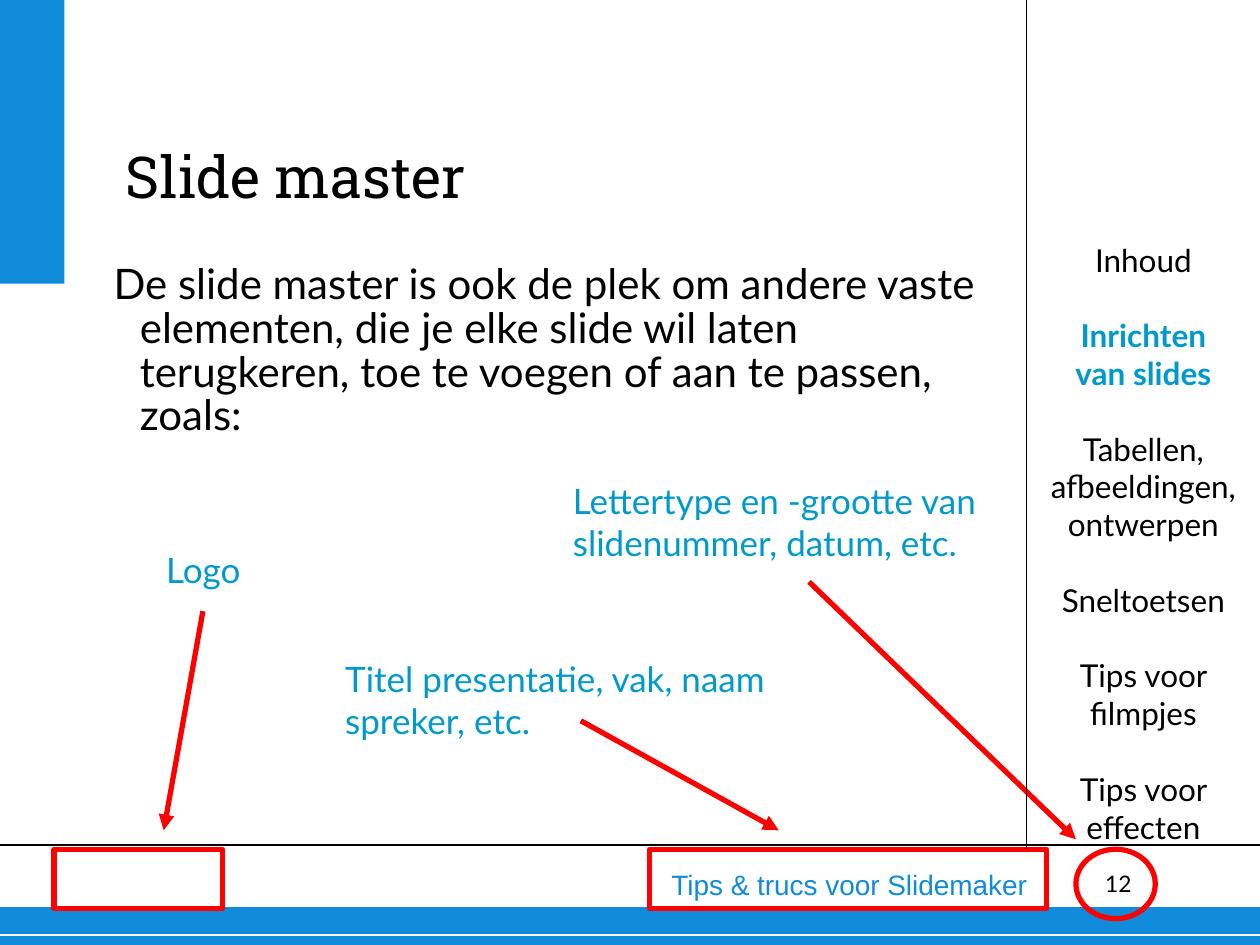
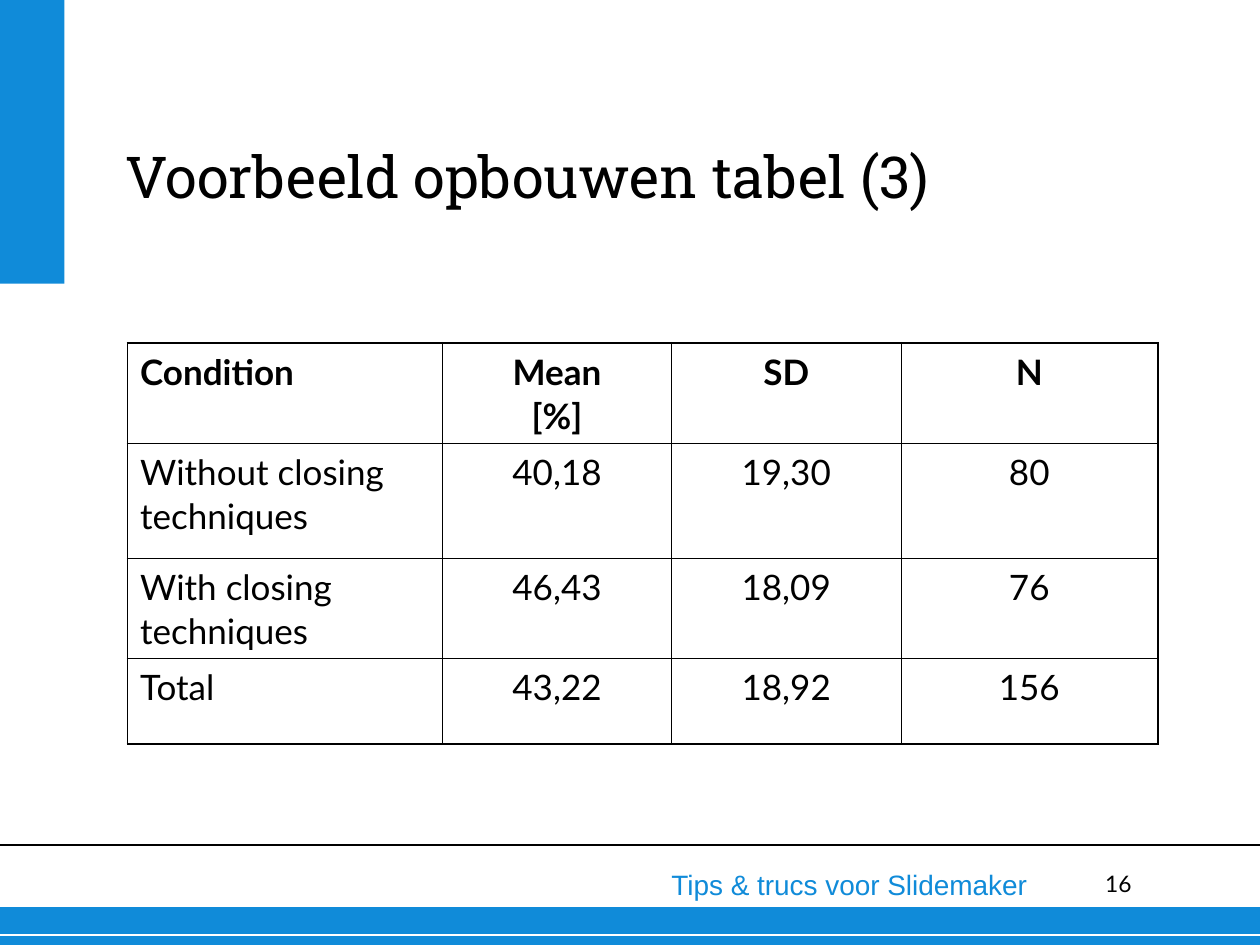
import pptx
import pptx.util
import pptx.dml.color
import pptx.enum.shapes
import pptx.enum.text
import pptx.oxml
import pptx.oxml.ns

Cm = pptx.util.Cm
Pt = pptx.util.Pt
Color = pptx.dml.color.RGBColor
Shape = pptx.enum.shapes.MSO_SHAPE
Align = pptx.enum.text.PP_ALIGN
Anchor = pptx.enum.text.MSO_ANCHOR

BLUE = Color(0x10, 0x8B, 0xD9)
CYAN = Color(0x00, 0x99, 0xCC)
RED = Color(0xFF, 0x00, 0x00)
BLACK = Color(0x00, 0x00, 0x00)
WHITE = Color(0xFF, 0xFF, 0xFF)

HEAD, BODY, SANS = "Roboto Slab", "Lato", "Arial"
WIDE, HIGH = 25.4, 19.05
PAD = (0.25, 0.13)
TOP = (0, 0, WIDE, 5.72)
FOOT = (0, 17.04, WIDE, 2.01)

TOPICS = [
    ["Inhoud"],
    ["Inrichten", "van slides"],
    ["Tabellen, afbeeldingen, ontwerpen"],
    ["Sneltoetsen"],
    ["Tips voor filmpjes"],
    ["Tips voor effecten"],
]
ACTIVE = 1

COLS = [6.35, 4.62, 4.62, 5.18]
ROWS = [2.03, 2.31, 2.01, 1.73]
DATA = [
    ["Condition", "Mean\n[%]", "SD", "N"],
    ["Without closing techniques", "40,18", "19,30", "80"],
    ["With closing\ntechniques", "46,43", "18,09", "76"],
    ["Total", "43,22", "18,92", "156"],
]


def style(para, size, color=BLACK, font=BODY, bold=False, align=Align.LEFT):
    para.alignment = align
    para.font.size = Pt(size)
    para.font.name = font
    para.font.bold = bold
    para.font.color.rgb = color


def write(slide, box, text, size, pad=(0, 0), anchor=Anchor.TOP, **look):
    """Add a wrapped text box and return its text frame."""
    frame = slide.shapes.add_textbox(*map(Cm, box)).text_frame
    frame.word_wrap = True
    frame.vertical_anchor = anchor
    frame.margin_left = frame.margin_right = Cm(pad[0])
    frame.margin_top = frame.margin_bottom = Cm(pad[1])
    frame.text = text
    for para in frame.paragraphs:
        style(para, size, **look)
    return frame


def band(slide, box):
    shape = slide.shapes.add_shape(Shape.RECTANGLE, *map(Cm, box))
    shape.shadow.inherit = False
    shape.fill.solid()
    shape.fill.fore_color.rgb = BLUE
    shape.line.fill.background()


def ring(slide, kind, box):
    """Mark a spot with a red outline."""
    shape = slide.shapes.add_shape(kind, *map(Cm, box))
    shape.shadow.inherit = False
    shape.fill.background()
    shape.line.color.rgb = RED
    shape.line.width = Pt(3)


def rule(slide, start, end, color, width):
    line = slide.shapes.add_connector(
        pptx.enum.shapes.MSO_CONNECTOR.STRAIGHT, *map(Cm, start + end))
    line.line.color.rgb = color
    line.line.width = Pt(width)
    props = line._element.spPr
    props.append(pptx.oxml.parse_xml(
        f'<a:effectLst {pptx.oxml.ns.nsdecls("a")}/>'))
    return line


def arrow(slide, start, end):
    line = rule(slide, start, end, RED, 3)
    line.line._get_or_add_ln().append(pptx.oxml.parse_xml(
        f'<a:tailEnd {pptx.oxml.ns.nsdecls("a")} type="triangle"/>'))


def top(slide, box, title):
    x, y, w, h = box
    band(slide, (x, y, 1.3, h))
    write(slide, (x + 2.54, y + 1.27, w - 4.11, 2.97), title, 33,
          font=HEAD, anchor=Anchor.BOTTOM)


def foot(slide, box, number):
    x, y, w, h = box
    write(slide, (x + 21.31, y + 0.49, 1.5, 0.71), number, 13,
          align=Align.RIGHT)
    band(slide, (x, y + h - 0.76, w, 0.76))
    for level, color, width in ((y + 1.81, WHITE, 0.75), (y, BLACK, 1)):
        rule(slide, (x, level), (x + w, level), color, width)
    write(slide, (x + 8.69, y + 0.31, 12.27, 0.94),
          "Tips & trucs voor Slidemaker", 16, pad=PAD, color=BLUE,
          font=SANS, align=Align.RIGHT)


def base(deck, title, number):
    """Start a slide with the parts that all slides share."""
    slide = deck.slides.add_slide(deck.slide_layouts[6])
    foot(slide, FOOT, number)
    top(slide, TOP, title)
    return slide


def menu(slide, box):
    x, y, w, h = box
    rule(slide, (x, 17.12), (x, 0), BLACK, 0.75)
    lines = [(line, place, row) for place, topic in enumerate(TOPICS)
             for row, line in enumerate(topic)]
    frame = write(slide, box, "\n".join(line for line, _, _ in lines), 18,
                  pad=PAD, align=Align.CENTER)
    for para, (_, place, row) in zip(frame.paragraphs, lines):
        if place and not row:
            para.space_before = Pt(21.6)
        if place == ACTIVE:
            para.font.bold = True
            para.font.color.rgb = CYAN


def intro(slide, box):
    frame = write(
        slide, box,
        "De slide master is ook de plek om andere vaste elementen, die je "
        "elke slide wil laten terugkeren, toe te voegen of aan te passen, "
        "zoals:", 24)
    para = frame.paragraphs[0]
    para.line_spacing = Pt(25)
    props = para._p.get_or_add_pPr()
    props.set("marL", str(Cm(0.53)))
    props.set("indent", str(-Cm(0.53)))


def notes(slide, box):
    """Point from each label to the master part it names."""
    x, y, w, h = box
    labels = [
        ("Logo", (1.88, 1.39, 2.39, 1.12), (2.87, 2.79), (2.08, 7.21)),
        ("Titel presentatie, vak, naam spreker, etc.",
         (5.49, 3.6, 9.6, 1.96), (10.49, 5), (14.48, 7.21)),
        ("Lettertype en -grootte van slidenummer, datum, etc.",
         (10.08, 0, 9.6, 1.96), (15.09, 2.2), (20.47, 7.39)),
    ]
    for text, (left, high, wide, tall), start, end in labels:
        write(slide, (x + left, y + high, wide, tall), text, 20,
              pad=PAD, color=CYAN)
        arrow(slide, (x + start[0], y + start[1]), (x + end[0], y + end[1]))
    for kind, left, wide, tall in (
            (Shape.RECTANGLE, -0.13, 3.4, 1.19),
            (Shape.RECTANGLE, 11.88, 8, 1.19),
            (Shape.OVAL, 20.47, 1.6, 1.4)):
        ring(slide, kind, (x + left, y + h, wide, tall))


def edge(cell, row, col):
    """Draw thick lines on the outside of the table, thin ones inside."""
    outer = {"lnL": col == 0, "lnR": col == len(COLS) - 1,
             "lnT": row == 0, "lnB": row == len(ROWS) - 1}
    props = cell._tc.get_or_add_tcPr()
    for place, (tag, thick) in enumerate(outer.items()):
        width = Pt(1.08 if thick else 0.45)
        props.insert(place, pptx.oxml.parse_xml(
            f'<a:{tag} {pptx.oxml.ns.nsdecls("a")} w="{width}"><a:solidFill>'
            f'<a:srgbClr val="{BLACK}"/></a:solidFill></a:{tag}>'))


def grid(slide, box):
    table = slide.shapes.add_table(
        len(ROWS), len(COLS), *map(Cm, box)).table
    table.first_row = table.horz_banding = False
    for col, width in zip(table.columns, COLS):
        col.width = Cm(width)
    for row, height in zip(table.rows, ROWS):
        row.height = Cm(height)
    for r, values in enumerate(DATA):
        for c, value in enumerate(values):
            cell = table.cell(r, c)
            cell.text = value
            cell.fill.background()
            edge(cell, r, c)
            for para in cell.text_frame.paragraphs:
                style(para, 20, bold=r == 0,
                      align=Align.CENTER if c else Align.LEFT)
                para.line_spacing = Pt(25)


def main():
    deck = pptx.Presentation()
    deck.slide_width, deck.slide_height = Cm(WIDE), Cm(HIGH)

    slide = base(deck, "Slide master", "12")
    intro(slide, (2.29, 5.33, 17.81, 7.39))
    notes(slide, (1.22, 9.53, 21, 7.59))
    menu(slide, (20.7, 4.72, 4.7, 12.5))

    slide = base(deck, "Voorbeeld opbouwen tabel (3)", "16")
    grid(slide, (2.57, 6.91, sum(COLS), sum(ROWS)))

    deck.save("out.pptx")


if __name__ == "__main__":
    main()
